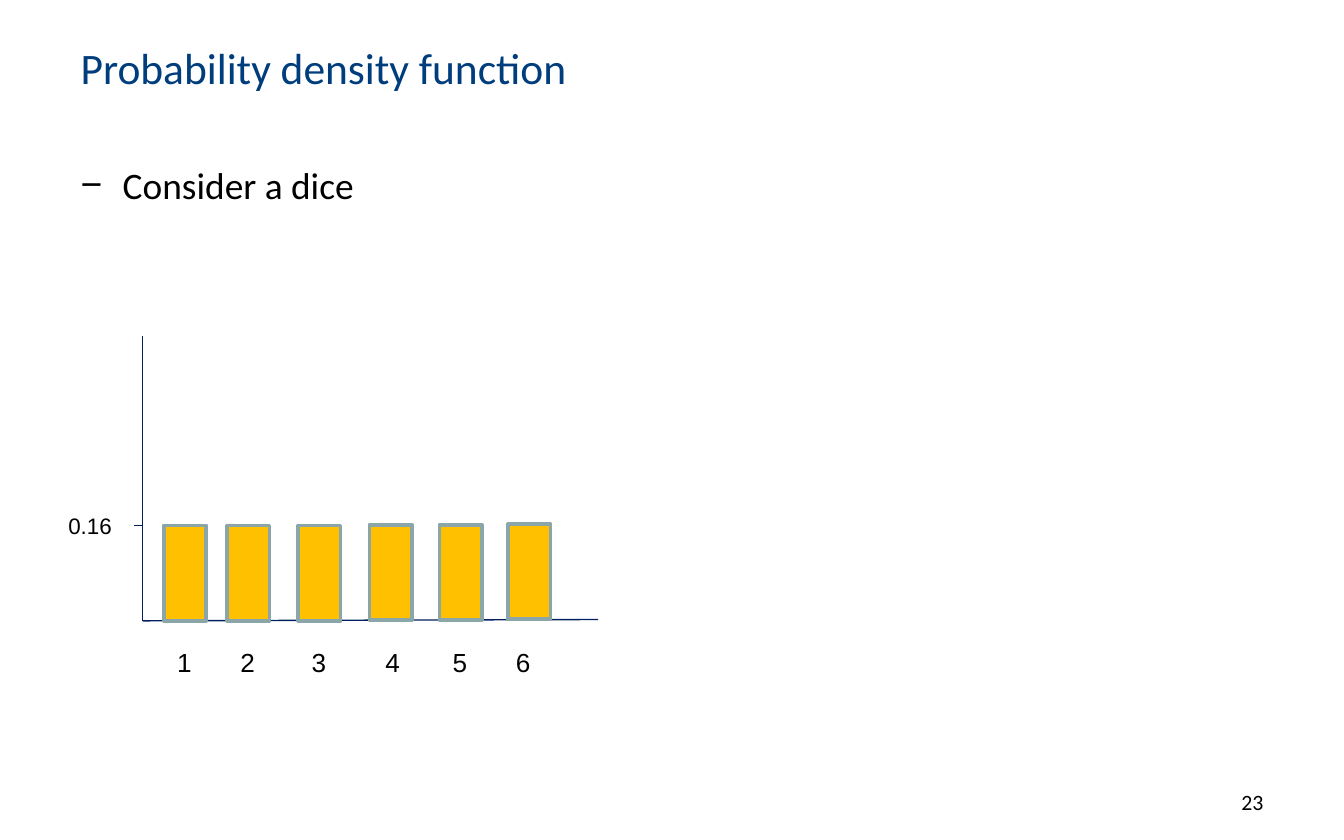
from lxml import etree
from pptx import Presentation
from pptx import util as u
from pptx.dml.color import RGBColor
from pptx.enum import shapes, text
from pptx.oxml.ns import qn

Pt = u.Pt
TITLE_BLUE = RGBColor(0x00, 0x3D, 0x7D)
AXIS_NAVY = RGBColor(0x00, 0x20, 0x60)
BAR_GOLD = RGBColor(0xFF, 0xC0, 0x00)
BAR_EDGE = RGBColor(0x8A, 0xA6, 0xA8)
BLACK = RGBColor(0x00, 0x00, 0x00)


def put_text(tf, content, font="Calibri", size=20, color=BLACK,
             align=text.PP_ALIGN.LEFT, wrap=True, anchor=text.MSO_ANCHOR.TOP,
             fit=text.MSO_AUTO_SIZE.NONE):
    """Write one formatted paragraph and return it."""
    tf.word_wrap = wrap
    tf.auto_size = fit
    tf.vertical_anchor = anchor
    p = tf.paragraphs[0]
    p.alignment = align
    r = p.add_run()
    r.text = content
    r.font.name, r.font.size = font, Pt(size)
    r.font.color.rgb = color
    return p


class SlideBuilder:
    """Holds the shared style and the current slide."""
    axis_width = 0.75
    edge_width = 2
    label_font = "Arial"

    def __init__(self, slide):
        self.s = slide

    def placeholder(self, idx, box, content, **fmt):
        sp = self.s.placeholders[idx]
        sp.left, sp.top, sp.width, sp.height = map(Pt, box)
        return put_text(sp.text_frame, content, **fmt)

    def bullet(self, p, char, indent):
        pPr = p._p.get_or_add_pPr()
        pPr.set("marL", str(Pt(indent)))
        pPr.set("indent", str(-Pt(indent)))
        etree.SubElement(pPr, qn("a:buChar"), char=char)

    def textbox(self, box, content, **fmt):
        sp = self.s.shapes.add_textbox(*map(Pt, box))
        return put_text(sp.text_frame, content, **fmt)

    def label(self, box, content, size):
        self.textbox(box, content, font=self.label_font, size=size,
                     wrap=False, fit=text.MSO_AUTO_SIZE.SHAPE_TO_FIT_TEXT)

    def line(self, *ends):
        c = self.s.shapes.add_connector(shapes.MSO_CONNECTOR.STRAIGHT,
                                        *map(Pt, ends))
        c.line.color.rgb = AXIS_NAVY
        c.line.width = Pt(self.axis_width)
        etree.SubElement(c._element.spPr, qn("a:effectLst"))

    def bar(self, *box):
        sp = self.s.shapes.add_shape(shapes.MSO_SHAPE.RECTANGLE, *map(Pt, box))
        sp.shadow.inherit = False
        sp.fill.solid()
        sp.fill.fore_color.rgb = BAR_GOLD
        sp.line.color.rgb = BAR_EDGE
        sp.line.width = Pt(self.edge_width)


def main():
    prs = Presentation()
    prs.slide_width, prs.slide_height = Pt(720), Pt(450)
    b = SlideBuilder(prs.slides.add_slide(prs.slide_layouts[1]))

    # Title, list and page number
    b.placeholder(0, (36, -1.5, 648, 75), "Probability density function",
                  size=23.3, color=TITLE_BLUE, anchor=text.MSO_ANCHOR.MIDDLE)
    p = b.placeholder(1, (36, 83.5, 648, 326), "Consider a dice")
    p.space_after = Pt(6)
    b.bullet(p, "−", 22.5)
    b.textbox((516, 419, 168, 22.5), "23", size=11.7,
              align=text.PP_ALIGN.RIGHT)

    # Axes
    axis_x, base_y, bar_top = 76.5, 332.6, 281.5
    b.line(axis_x, 180, axis_x, base_y)
    b.line(320.4, 331.9, axis_x, base_y)

    # Face numbers and their bars: (label left, bar left, bar top)
    faces = [(87.8, 87.8, bar_top), (121.7, 121.7, bar_top),
             (159.8, 159.8, bar_top), (199.4, 198, bar_top - 0.4),
             (235.4, 235.4, bar_top - 0.4), (269.3, 272.2, bar_top - 0.8)]
    for face, (label_x, bar_x, top) in enumerate(faces, 1):
        b.label((label_x, 342.7, 22.3, 24.5), str(face), 14)
        b.bar(bar_x, top, 22.7, 51.1)

    # Probability tick
    b.label((29.5, 270.7, 38.2, 21.6), "0.16", 12)
    b.line(72, bar_top, axis_x, bar_top)

    prs.save("out.pptx")


if __name__ == "__main__":
    main()
